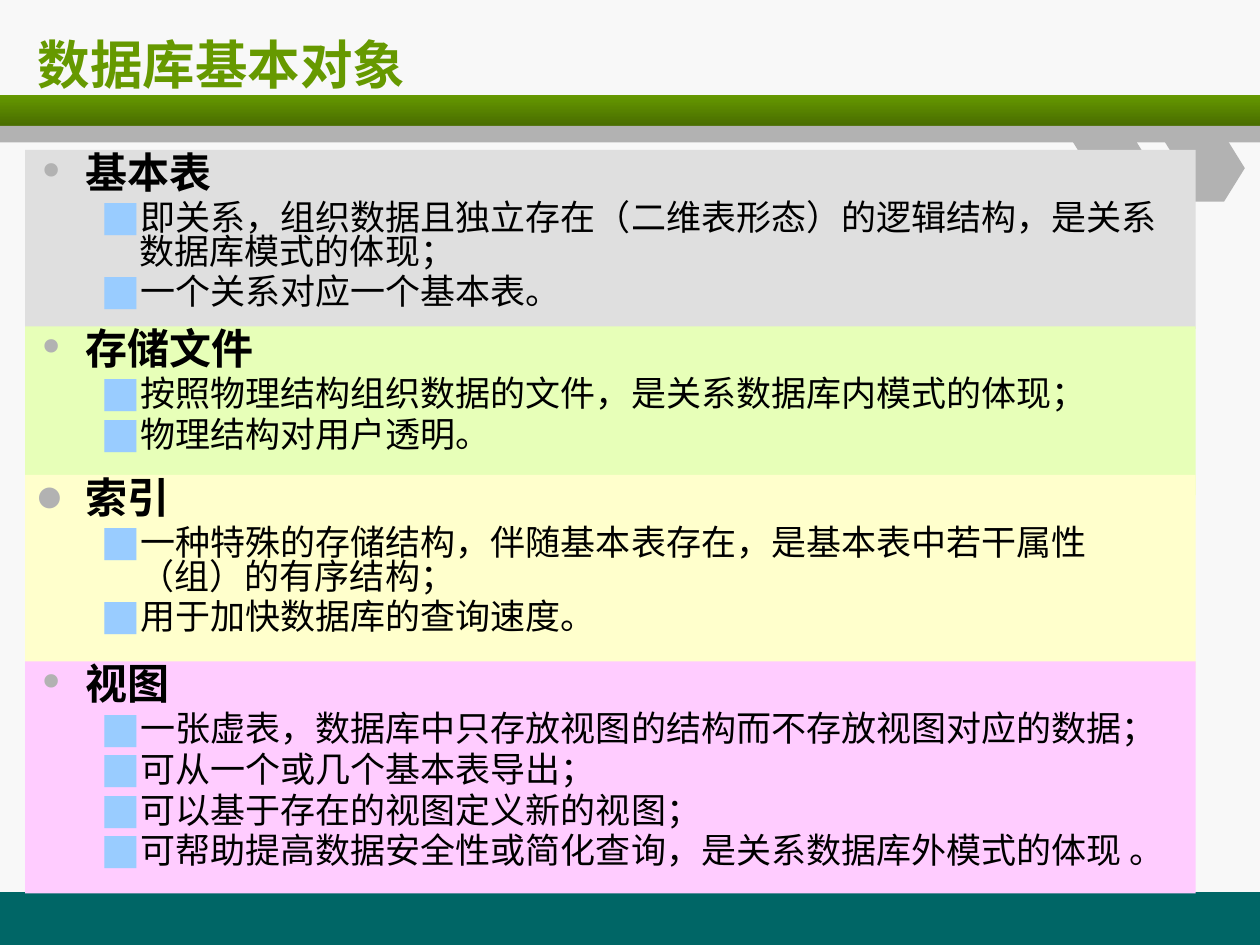
from lxml.etree import SubElement
from pptx import Presentation
from pptx.dml.color import RGBColor
from pptx.enum.shapes import MSO_SHAPE
from pptx.enum.text import MSO_ANCHOR, PP_ALIGN
from pptx.oxml.ns import qn
from pptx.util import Inches, Pt

FONT = "DejaVu Sans"
COLORS = {
    "background": "F8F8F8", "footer": "006666", "green": "669900",
    "dark_green": "496D00", "gray": "B2B2B2", "square": "99CCFF",
    "text": "000000", "table": "DFDFDF", "file": "E7FFB8",
    "index": "FFFFCC", "view": "FFCCFF",
}


def add_block(kind, left, top, width, height, color):
    s = slide.shapes.add_shape(kind, Inches(left), Inches(top), Inches(width), Inches(height))
    s.shadow.inherit = False
    s.fill.solid()
    s.fill.fore_color.rgb = RGBColor.from_string(COLORS[color])
    s.line.fill.background()
    return s


def add_bullet(p, char, color, percent, margin, indent):
    pPr = p._p.get_or_add_pPr()
    pPr.set("marL", str(Inches(margin)))
    pPr.set("indent", str(Inches(-indent)))
    clr = SubElement(pPr, qn("a:buClr"))
    SubElement(clr, qn("a:srgbClr"), val=COLORS[color])
    SubElement(pPr, qn("a:buSzPct"), val=str(percent * 1000))
    SubElement(pPr, qn("a:buFont"), typeface=FONT)
    SubElement(pPr, qn("a:buChar"), char=char)


prs = Presentation()
prs.slide_width, prs.slide_height = Inches(10), Inches(7.5)
slide = prs.slides.add_slide(prs.slide_layouts[6])
slide.background.fill.solid()
slide.background.fill.fore_color.rgb = RGBColor.from_string(COLORS["background"])

# Footer, header bars and chevrons
add_block(MSO_SHAPE.RECTANGLE, 0, 7.08, 10, 0.42, "footer")
bar = add_block(MSO_SHAPE.RECTANGLE, 0, 0.75, 10, 0.25, "green")
bar.fill.gradient()
bar.fill.gradient_angle = 270
for stop, color, position in zip(bar.fill.gradient_stops, ("green", "dark_green"), (0, 1)):
    stop.color.rgb = RGBColor.from_string(COLORS[color])
    stop.position = position
add_block(MSO_SHAPE.RECTANGLE, 0, 1, 10, 0.13, "gray")
for left in (8.48, 9.21):
    chevron = add_block(MSO_SHAPE.CHEVRON, left, 1.07, 0.67, 0.53, "gray")
    chevron.adjustments[0] = 0.31

# Title
tf = slide.shapes.add_textbox(Inches(0.2), Inches(0.17), Inches(9.55), Inches(0.67)).text_frame
tf.word_wrap = True
tf.vertical_anchor = MSO_ANCHOR.MIDDLE
tf.text = "数据库基本对象"
font = tf.paragraphs[0].runs[0].font
font.name, font.size, font.bold = FONT, Pt(30), True
font.color.rgb = RGBColor.from_string(COLORS["green"])

# Object panels: top, height, fill, heading bullet, bullet percent, lines
panels = [
    (1.19, 1.42, "table", "•", 110, [
        "基本表",
        "即关系，组织数据且独立存在（二维表形态）的逻辑结构，是关系数据库模式的体现；",
        "一个关系对应一个基本表。"]),
    (2.59, 1.34, "file", "•", 110, [
        "存储文件",
        "按照物理结构组织数据的文件，是关系数据库内模式的体现；",
        "物理结构对用户透明。"]),
    (3.77, 1.57, "index", "●", 65, [
        "索引",
        "一种特殊的存储结构，伴随基本表存在，是基本表中若干属性（组）的有序结构；",
        "用于加快数据库的查询速度。"]),
    (5.25, 1.84, "view", "•", 110, [
        "视图",
        "一张虚表，数据库中只存放视图的结构而不存放视图对应的数据；",
        "可从一个或几个基本表导出；",
        "可以基于存在的视图定义新的视图；",
        "可帮助提高数据安全性或简化查询，是关系数据库外模式的体现 。"]),
]
for top, height, color, char, percent, lines in panels:
    tf = add_block(MSO_SHAPE.RECTANGLE, 0.2, top, 9.29, height, color).text_frame
    tf.word_wrap = True
    tf.vertical_anchor = MSO_ANCHOR.TOP
    tf.text = "\n".join(lines)
    for i, p in enumerate(tf.paragraphs):
        heading = i == 0
        if heading:
            add_bullet(p, char, "gray", percent, 0.38, 0.38)
        else:
            add_bullet(p, "■", "square", 120, 0.81, 0.31)
            p.level = 1
            p.space_before = Pt(4)
        p.alignment = PP_ALIGN.LEFT
        p.line_spacing = 0.8
        font = p.runs[0].font
        font.name, font.size, font.bold = FONT, Pt(24 if heading else 20), heading
        font.color.rgb = RGBColor.from_string(COLORS["text"])

prs.save("out.pptx")
